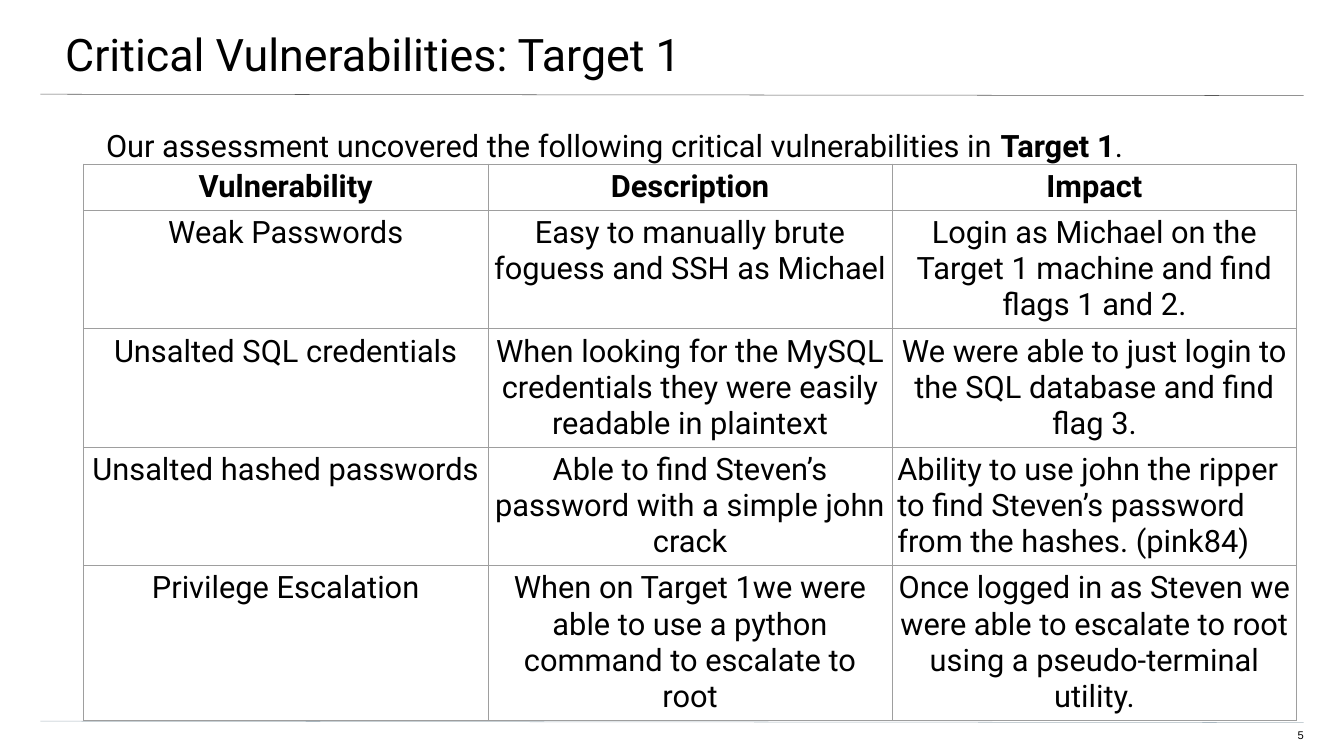
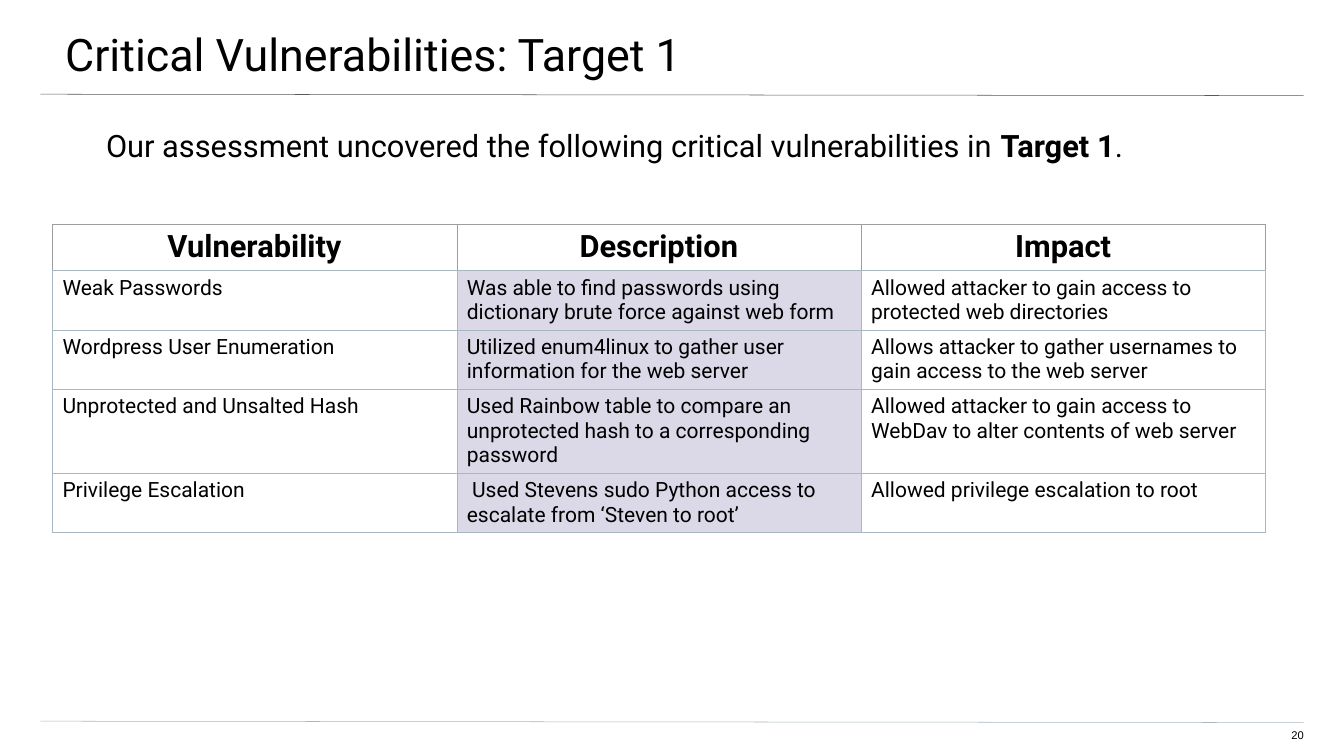
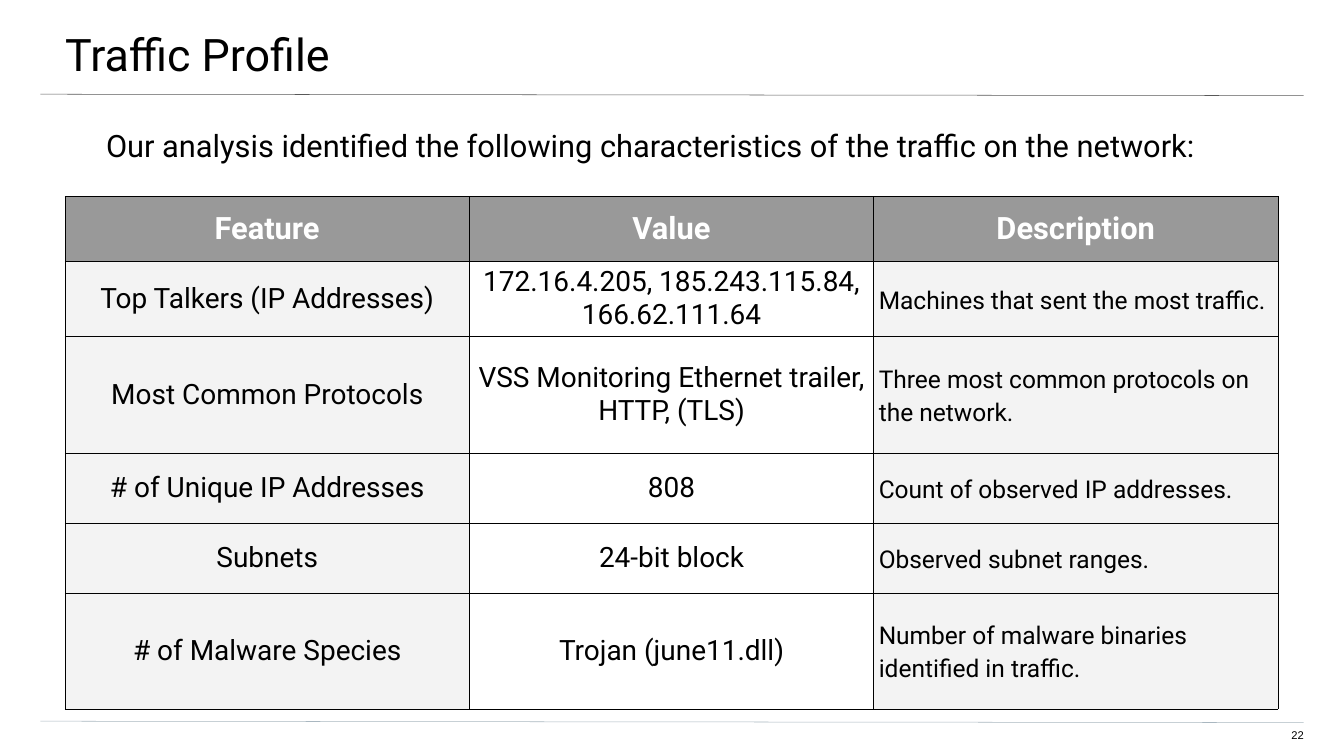
from dataclasses import dataclass
from typing import Optional

from lxml.etree import SubElement
from pptx import Presentation
from pptx.dml.color import RGBColor
from pptx.enum.shapes import MSO_CONNECTOR
from pptx.enum.text import MSO_ANCHOR, MSO_AUTO_SIZE, PP_ALIGN
from pptx.oxml.ns import qn
from pptx.util import Pt

BLACK = RGBColor(0x00, 0x00, 0x00)
WHITE = RGBColor(0xFF, 0xFF, 0xFF)
RULE_DARK = RGBColor(0x59, 0x59, 0x59)
RULE_LIGHT = RGBColor(0xA9, 0xB7, 0xC0)
GRID_GREY = RGBColor(0x9E, 0x9E, 0x9E)
HEADER_GREY = RGBColor(0x99, 0x99, 0x99)
CELL_GREY = RGBColor(0xF3, 0xF3, 0xF3)
LILAC = RGBColor(0xDB, 0xD9, 0xE8)

FONT = "Roboto"
NUMBER_FONT = "Arial"
PAGE_WIDTH, PAGE_HEIGHT = 1919.52, 1080
RULE_LEFT, RULE_RIGHT = 57.6, 1862
COLUMN_WIDTH = 577.5
LINE_WIDTH = 0.75
CELL_INSET = 7.2
LEFT, CENTER, RIGHT = PP_ALIGN.LEFT, PP_ALIGN.CENTER, PP_ALIGN.RIGHT


@dataclass
class CellStyle:
    size: float = 44
    align: PP_ALIGN = CENTER
    fill: Optional[RGBColor] = None
    color: RGBColor = BLACK
    bold: bool = False
    side_inset: float = CELL_INSET
    line_spacing: Optional[float] = None
    space_after: Optional[float] = None


@dataclass
class TableStyle:
    header: CellStyle
    columns: list
    grid: RGBColor
    header_grid: RGBColor
    anchor: MSO_ANCHOR = MSO_ANCHOR.TOP


HEADER = CellStyle(bold=True)
NOTE = CellStyle(size=30, align=LEFT, side_inset=14.4)
LILAC_NOTE = CellStyle(size=30, align=LEFT, side_inset=14.4, fill=LILAC)
FEATURE = CellStyle(size=40, fill=CELL_GREY)
DETAIL = CellStyle(size=35, align=LEFT, fill=CELL_GREY, line_spacing=1.15, space_after=10)

PLAIN_TABLE = TableStyle(HEADER, [CellStyle()] * 3, GRID_GREY, GRID_GREY)
LILAC_TABLE = TableStyle(HEADER, [NOTE, LILAC_NOTE, NOTE], RULE_LIGHT, GRID_GREY)
TRAFFIC_TABLE = TableStyle(
    CellStyle(bold=True, color=WHITE, fill=HEADER_GREY),
    [FEATURE, CellStyle(size=40), DETAIL], BLACK, BLACK, MSO_ANCHOR.MIDDLE)

VULNERABILITY_HEADER = ["Vulnerability", "Description", "Impact"]
TARGET_TITLE = "Critical Vulnerabilities: Target 1"
TARGET_INTRO = [
    ("Our assessment uncovered the following critical vulnerabilities in ", False),
    ("Target 1", True), (".", False)]

ACCESS_ROWS = [
    VULNERABILITY_HEADER,
    ["Weak Passwords", "Easy to manually brute foguess and SSH as Michael",
     "Login as Michael on the Target 1 machine and find flags 1 and 2."],
    ["Unsalted SQL credentials",
     "When looking for the MySQL credentials they were easily readable in plaintext",
     "We were able to just login to the SQL database and find flag 3."],
    ["Unsalted hashed passwords", "Able to find Steven’s password with a simple john crack",
     "Ability to use john the ripper to find Steven’s password from the hashes. (pink84)"],
    ["Privilege Escalation",
     "When on Target 1we were able to use a python command to escalate to root",
     "Once logged in as Steven we were able to escalate to root using a pseudo-terminal utility."],
]
ATTACK_ROWS = [
    VULNERABILITY_HEADER,
    ["Weak Passwords",
     "Was able to find passwords using dictionary brute force against web form",
     "Allowed attacker to gain access to protected web directories"],
    ["Wordpress User Enumeration",
     "Utilized enum4linux to gather user information for the web server",
     "Allows attacker to gather usernames to gain access to the web server"],
    ["Unprotected and Unsalted Hash",
     "Used Rainbow table to compare an unprotected hash to a corresponding password",
     "Allowed attacker to gain access to WebDav to alter contents of web server"],
    ["Privilege Escalation",
     " Used Stevens sudo Python access to escalate from ‘Steven to root’",
     "Allowed privilege escalation to root"],
]
TRAFFIC_ROWS = [
    ["Feature", "Value", "Description"],
    ["Top Talkers (IP Addresses)", "172.16.4.205, 185.243.115.84, 166.62.111.64",
     "Machines that sent the most traffic."],
    ["Most Common Protocols", "VSS Monitoring Ethernet trailer, HTTP, (TLS)",
     "Three most common protocols on the network."],
    ["# of Unique IP Addresses", "808", "Count of observed IP addresses."],
    ["Subnets", "24-bit block", "Observed subnet ranges."],
    ["# of Malware Species", "Trojan (june11.dll)",
     "Number of malware binaries identified in traffic."],
]


def set_font(para, size, color=BLACK, name=FONT, bold=False):
    para.font.name = name
    para.font.size = Pt(size)
    para.font.color.rgb = color
    para.font.bold = bold


def set_frame(frame, left, top, right, bottom):
    frame.word_wrap = True
    frame.auto_size = MSO_AUTO_SIZE.NONE
    frame.vertical_anchor = MSO_ANCHOR.TOP
    frame.margin_left, frame.margin_top = Pt(left), Pt(top)
    frame.margin_right, frame.margin_bottom = Pt(right), Pt(bottom)


def place(shape, left, top, width, height):
    shape.left, shape.top = Pt(left), Pt(top)
    shape.width, shape.height = Pt(width), Pt(height)


def add_rule(page, top, color):
    """A hairline across the page that falls slightly to the right."""
    rule = page.shapes.add_connector(
        MSO_CONNECTOR.STRAIGHT, Pt(RULE_LEFT), Pt(top), Pt(RULE_RIGHT), Pt(top + 2))
    rule.line.color.rgb = color
    rule.line.width = Pt(LINE_WIDTH)
    SubElement(rule.element.spPr, qn("a:effectLst"))


def add_title(page, text):
    title = page.shapes.title
    place(title, -2.9, 0, 1924.5, 112.3)
    set_frame(title.text_frame, 96, 38.2, 57.6, 19.4)
    para = title.text_frame.paragraphs[0]
    para.text = text
    para.alignment = LEFT
    set_font(para, 64)


def add_page_number(page, number):
    box = page.shapes.add_textbox(Pt(1807.2), Pt(1041), Pt(54.8), Pt(22.3))
    set_frame(box.text_frame, 0, 0, 0, 19.4)
    para = box.text_frame.paragraphs[0]
    para.text = str(number)
    para.alignment = RIGHT
    set_font(para, 16, name=NUMBER_FONT)


def add_intro(page, parts):
    box = page.shapes.add_textbox(Pt(55.4), Pt(180.7), Pt(1806.5), Pt(776.9))
    set_frame(box.text_frame, 96, 0, 96, 192)
    para = box.text_frame.paragraphs[0]
    for text, bold in parts:
        span = para.add_run()
        span.text = text
        span.font.bold = bold
    set_font(para, 44)


def set_borders(cell, edge_color, bottom_color):
    properties = cell._tc.get_or_add_tcPr()
    for side in "LRTB":
        line = SubElement(properties, qn(f"a:ln{side}"), w=str(Pt(LINE_WIDTH)))
        fill = SubElement(line, qn("a:solidFill"))
        color = bottom_color if side == "B" else edge_color
        SubElement(fill, qn("a:srgbClr"), val=str(color))


def fill_cell(cell, text, style, anchor):
    cell.margin_left = cell.margin_right = Pt(style.side_inset)
    cell.margin_top = cell.margin_bottom = Pt(CELL_INSET)
    cell.vertical_anchor = anchor
    if style.fill is None:
        cell.fill.background()
    else:
        cell.fill.solid()
        cell.fill.fore_color.rgb = style.fill
    para = cell.text_frame.paragraphs[0]
    para.text = text
    para.alignment = style.align
    if style.line_spacing:
        para.line_spacing = style.line_spacing
    if style.space_after:
        para.space_after = Pt(style.space_after)
    set_font(para, style.size, style.color, bold=style.bold)


def add_grid(page, left, top, rows, heights, style):
    """A three-column table at the given corner; rows grow with their text."""
    columns = len(rows[0])
    frame = page.shapes.add_table(
        len(rows), columns, Pt(left), Pt(top), Pt(columns * COLUMN_WIDTH), Pt(sum(heights)))
    table = frame.table
    table.first_row = table.horz_banding = False
    for column in table.columns:
        column.width = Pt(COLUMN_WIDTH)
    for r, (texts, height) in enumerate(zip(rows, heights)):
        table.rows[r].height = Pt(height)
        for c, text in enumerate(texts):
            cell = table.cell(r, c)
            set_borders(cell, style.grid if r else style.header_grid, style.grid)
            fill_cell(cell, text, style.columns[c] if r else style.header, style.anchor)
    return table


def add_page(deck, title, number, intro):
    page = deck.slides.add_slide(deck.slide_layouts[5])
    page.background.fill.solid()
    page.background.fill.fore_color.rgb = WHITE
    add_rule(page, 134.6, RULE_DARK)
    add_rule(page, 1030.3, RULE_LIGHT)
    add_title(page, title)
    add_page_number(page, number)
    add_intro(page, intro)
    return page


def main():
    deck = Presentation()
    deck.slide_width, deck.slide_height = Pt(PAGE_WIDTH), Pt(PAGE_HEIGHT)

    # Vulnerabilities that gave access
    page = add_page(deck, TARGET_TITLE, 5, TARGET_INTRO)
    table = add_grid(page, 119.5, 234, ACCESS_ROWS, [30] * 5, PLAIN_TABLE)
    table.cell(3, 2).text_frame.paragraphs[0].alignment = LEFT

    # Vulnerabilities by attack
    page = add_page(deck, TARGET_TITLE, 20, TARGET_INTRO)
    add_grid(page, 74.9, 320.4, ATTACK_ROWS, [30] * 5, LILAC_TABLE)

    # Traffic profile
    intro = "Our analysis identified the following characteristics of the traffic on the network:"
    page = add_page(deck, "Traffic Profile", 22, [(intro, False)])
    add_grid(page, 92.9, 280.8, TRAFFIC_ROWS, [92, 100, 166, 100, 100, 166], TRAFFIC_TABLE)

    deck.save("out.pptx")


if __name__ == "__main__":
    main()
